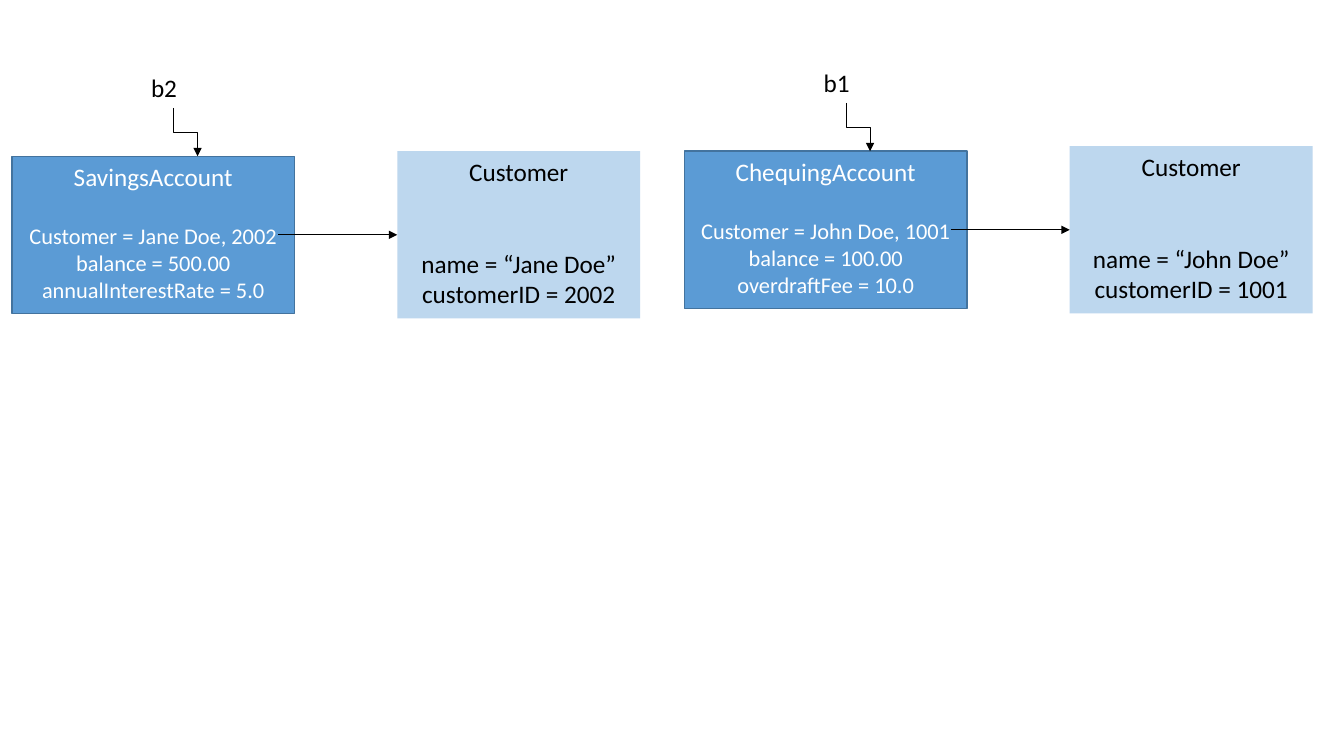
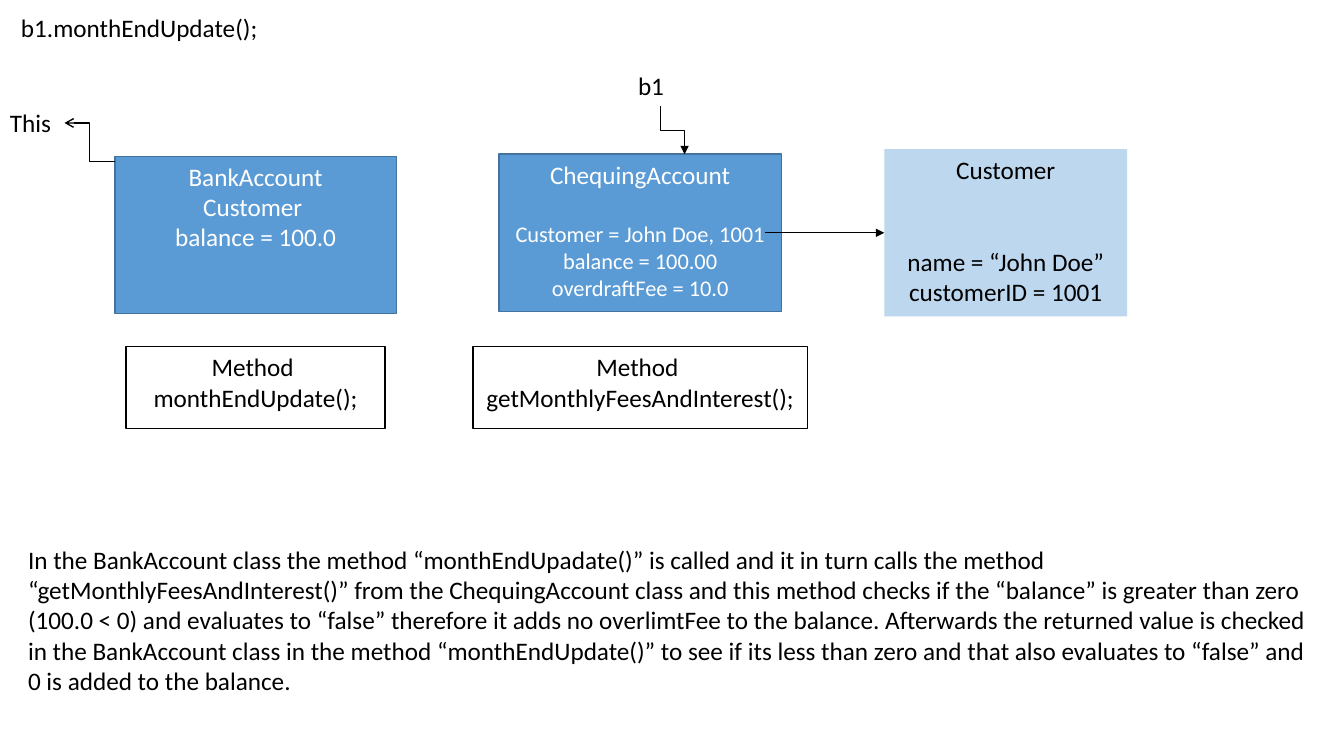
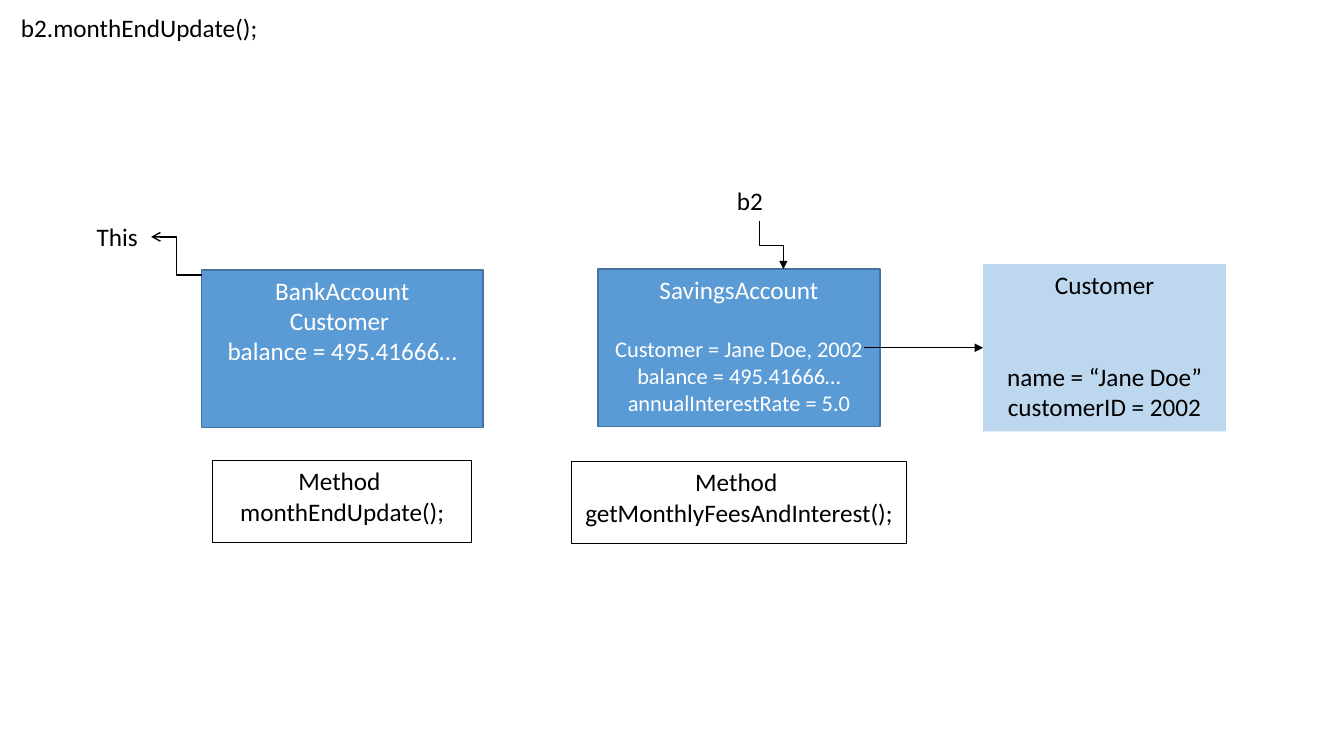
from lxml import etree
from pptx import Presentation
from pptx.dml.color import RGBColor
from pptx.enum import shapes, text
from pptx.oxml.ns import qn
from pptx.util import Inches, Pt

COLORS = {
    "object": "5B9BD5",
    "object_edge": "43739E",
    "customer": "BDD7EE",
    "light": "FFFFFF",
    "dark": "000000",
}
FONT = "Calibri"
LINE_GAP = 22  # height of one 18 pt line, in points

JOHN = ("John Doe", 1001)
JANE = ("Jane Doe", 2002)

EXPLANATION = (
    "In the BankAccount class the method “monthEndUpadate()” is called and it in turn "
    "calls the method “getMonthlyFeesAndInterest()” from the ChequingAccount class and "
    "this method checks if the “balance” is greater than zero (100.0 < 0) and evaluates "
    "to “false” therefore it adds no overlimtFee to the balance. Afterwards the returned "
    "value is checked in the BankAccount class in the method “monthEndUpdate()” to see if "
    "its less than zero and that also evaluates to “false” and 0 is added to the balance."
)


def color(name):
    return RGBColor.from_string(COLORS[name])


def write(shape, lines, ink="dark", align=text.PP_ALIGN.LEFT, body_size=18,
          body_from=1, gap=0):
    """Write one paragraph per line; body lines follow the heading after a gap."""
    frame = shape.text_frame
    frame.word_wrap = True
    frame.vertical_anchor = text.MSO_ANCHOR.TOP
    for index, line in enumerate(lines):
        paragraph = frame.paragraphs[0] if index == 0 else frame.add_paragraph()
        paragraph.alignment = align
        if index == body_from:
            paragraph.space_before = Pt(gap)
        run = paragraph.add_run()
        run.text = line
        run.font.name = FONT
        run.font.size = Pt(body_size if index >= body_from else 18)
        run.font.color.rgb = color(ink)


def add_label(slide, left, top, width, content, height=0.4):
    label = slide.shapes.add_textbox(
        Inches(left), Inches(top), Inches(width), Inches(height))
    write(label, [content])


def add_box(slide, left, top, width, height, lines, fill=None, edge=None, **style):
    box = slide.shapes.add_shape(
        shapes.MSO_SHAPE.RECTANGLE,
        Inches(left), Inches(top), Inches(width), Inches(height))
    box.shadow.inherit = False
    if fill:
        box.fill.solid()
        box.fill.fore_color.rgb = color(fill)
    else:
        box.fill.background()
    if edge:
        box.line.color.rgb = color(edge)
        box.line.width = Pt(1)
    else:
        box.line.fill.background()
    write(box, lines, align=text.PP_ALIGN.CENTER, **style)


def add_arrow(slide, start, end, kind=shapes.MSO_CONNECTOR.STRAIGHT,
              weight=0.5, head="triangle", upright=False):
    """Draw an arrow; an upright elbow leaves its start vertically."""
    (x1, y1), (x2, y2) = start, end
    if upright:
        # Unrotated ends of an elbow that is turned by 270 degrees
        center_x, center_y = (x1 + x2) / 2, (y1 + y2) / 2
        half_run, half_drop = (x2 - x1) / 2, (y2 - y1) / 2
        x1, y1 = center_x + half_drop, center_y - half_run
        x2, y2 = center_x - half_drop, center_y + half_run
    arrow = slide.shapes.add_connector(
        kind, Inches(x1), Inches(y1), Inches(x2), Inches(y2))
    arrow.line.color.rgb = color("dark")
    arrow.line.width = Pt(weight)
    properties = arrow._element.spPr
    if upright:
        properties.find(qn("a:xfrm")).set("rot", str(270 * 60000))
    tail = etree.SubElement(properties.find(qn("a:ln")), qn("a:tailEnd"))
    tail.set("type", head)
    etree.SubElement(properties, qn("a:effectLst"))


def add_method(slide, left, top, width, name):
    add_box(slide, left, top, width, 0.81, ["Method ", name], edge="dark")


def add_account(slide, left, top, variable, account, owner, details):
    """Variable, account object and the customer it refers to."""
    name, number = owner
    add_box(slide, left, top, 2.8, 1.56,
            [account, f"Customer = {name}, {number}", *details],
            fill="object", edge="object_edge", ink="light",
            body_size=16, gap=LINE_GAP)
    add_label(slide, left + 1.28, top - 0.88, 0.63, variable)
    add_arrow(slide, (left + 1.6, top - 0.48), (left + 1.84, top),
              kind=shapes.MSO_CONNECTOR.ELBOW, upright=True)
    add_box(slide, left + 3.82, top - 0.05, 2.41, 1.66,
            ["Customer", f"name = “{name}”", f"customerID = {number}"],
            fill="customer", gap=2 * LINE_GAP)
    add_arrow(slide, (left + 2.64, top + 0.78), (left + 3.82, top + 0.78))


def add_bank_account(slide, left, top, balance):
    """Parent object with its "This" reference and method."""
    add_box(slide, left, top, 2.79, 1.56,
            ["BankAccount", "Customer ", f"balance = {balance}"],
            fill="object", edge="object_edge", ink="light")
    add_arrow(slide, (left, top + 0.05), (left - 0.5, top - 0.33),
              kind=shapes.MSO_CONNECTOR.ELBOW, weight=1, head="arrow")
    add_label(slide, left - 1.14, top - 0.53, 0.64, "This")
    add_method(slide, left + 0.11, top + 1.89, 2.57, "monthEndUpdate();")


def add_call_slide(presentation, variable, bank, balance, position, *account):
    """Slide that traces one call of monthEndUpdate."""
    slide = add_blank(presentation)
    add_label(slide, 0.11, 0.07, 2.7, f"{variable}.monthEndUpdate();")
    add_bank_account(slide, *bank, balance)
    left, top = position
    add_account(slide, left, top, variable, *account)
    add_method(slide, left - 0.26, top + 1.91, 3.32, "getMonthlyFeesAndInterest();")
    return slide


def add_blank(presentation):
    return presentation.slides.add_slide(presentation.slide_layouts[6])


def main():
    presentation = Presentation()
    presentation.slide_width = Inches(13.33)
    presentation.slide_height = Inches(7.5)
    chequing = ("ChequingAccount", JOHN, ["balance = 100.00", "overdraftFee = 10.0"])

    # Both accounts
    overview = add_blank(presentation)
    add_account(overview, 0.12, 1.55, "b2", "SavingsAccount", JANE,
                ["balance = 500.00", "annualInterestRate = 5.0"])
    add_account(overview, 6.79, 1.5, "b1", *chequing)

    # Update of the chequing account
    slide = add_call_slide(presentation, "b1", (1.14, 1.55), "100.0",
                           (4.95, 1.53), *chequing)
    add_label(slide, 0.18, 5.35, 12.97, EXPLANATION, height=1.62)

    # Update of the savings account
    add_call_slide(presentation, "b2", (2, 2.68), "495.41666…", (5.93, 2.67),
                   "SavingsAccount", JANE,
                   ["balance = 495.41666… annualInterestRate = 5.0"])

    presentation.save("out.pptx")


if __name__ == "__main__":
    main()
